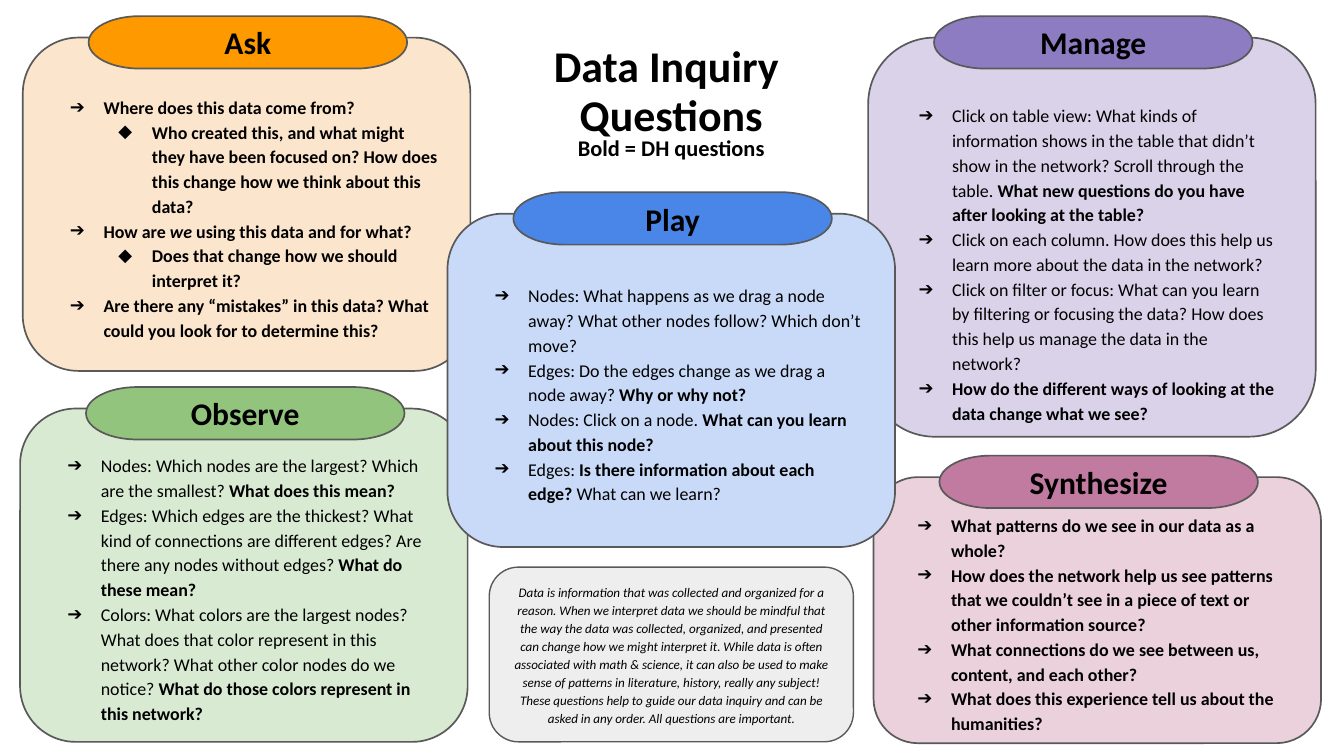
from lxml import etree
from pptx import Presentation
from pptx.dml.color import RGBColor
from pptx.enum import shapes, text
from pptx.oxml import ns
from pptx.util import Inches, Pt

COLORS = {
    "ink": "000000", "outline": "595959", "note": "EEEEEE",
    "Ask": ("FCE5CD", "FF9900"), "Observe": ("D9EAD3", "93C47D"),
    "Manage": ("D9D2E9", "8E7CC3"), "Synthesize": ("EAD1DC", "C27BA0"),
    "Play": ("C9DAF8", "4A86E8"),
}
FONT = "Calibri"
BULLETS = ("➔", "◆")
CARD_WIDTH = 3.33
LINE_HEIGHT = 0.19

# Stage: left, top, height, blank lines above the list, questions.
# *...* is bold, _..._ is italic, a leading tab makes a sub-question.
STAGES = {
    "Ask": (0.17, 0.28, 2.48, 1, [
        "*Where does this data come from?*",
        "\t*Who created this, and what might they have been focused on? "
        "How does this change how we think about this data?*",
        "*How are _we_ using this data and for what?*",
        "\t*Does that change how we should interpret it?*",
        "*Are there any “mistakes” in this data? What could you look for to determine this?*",
    ]),
    "Observe": (0.15, 3.04, 2.48, 1, [
        "Nodes: Which nodes are the largest? Which are the smallest? *What does this mean?*",
        "Edges: Which edges are the thickest? What kind of connections are different edges? "
        "Are there any nodes without edges? *What do these mean?*",
        "Colors: What colors are the largest nodes? What does that color represent in this "
        "network? What other color nodes do we notice? "
        "*What do those colors represent in this network?*",
    ]),
    "Manage": (6.46, 0.28, 2.97, 2, [
        "Click on table view: What kinds of information shows in the table that didn’t show "
        "in the network? Scroll through the table. "
        "*What new questions do you have after looking at the table?*",
        "Click on each column. How does this help us learn more about the data in the network?",
        "Click on filter or focus: What can you learn by filtering or focusing the data? "
        "How does this help us manage the data in the network?",
        "*How do the different ways of looking at the data change what we see?*",
    ]),
    "Synthesize": (6.5, 3.55, 1.98, 1, [
        "*What patterns do we see in our data as a whole?*",
        "*How does the network help us see patterns that we couldn’t see in a piece of text "
        "or other information source?*",
        "*What connections do we see between us, content, and each other?*",
        "*What does this experience tell us about the humanities?*",
    ]),
    "Play": (3.33, 1.59, 2.48, 1, [
        "Nodes: What happens as we drag a node away? What other nodes follow? Which don’t move?",
        "Edges: Do the edges change as we drag a node away? *Why or why not?*",
        "Nodes: Click on a node. *What can you learn about this node?*",
        "Edges: *Is there information about each edge? *What can we learn?",
    ]),
}
NOTE = [
    "_Data is information that was collected and organized for a reason. When we interpret "
    "data we should be mindful that the way the data was collected, organized, and presented "
    "can change how we might interpret it. While data is often associated with math & science, "
    "it can also be used to make sense of patterns in literature, history, really any subject!_",
    "_These questions help to guide our data inquiry and can be asked in any order. "
    "All questions are important._",
]


def set_frame(frame, inset, top_inset=None, anchor=text.MSO_ANCHOR.MIDDLE):
    frame.word_wrap = True
    frame.auto_size = text.MSO_AUTO_SIZE.NONE
    frame.vertical_anchor = anchor
    frame.margin_left = frame.margin_right = frame.margin_bottom = Inches(inset)
    frame.margin_top = Inches(inset if top_inset is None else top_inset)


def write(paragraph, marked, size, align=text.PP_ALIGN.CENTER, spacing=1.0, before=0):
    """Write one paragraph, turning * and _ marks into bold and italic runs."""
    paragraph.alignment = align
    paragraph.line_spacing = spacing
    paragraph.space_before = Pt(before)
    for i, weight_part in enumerate(marked.split("*")):
        for j, part in enumerate(weight_part.split("_")):
            if part:
                run = paragraph.add_run()
                run.text = part
                run.font.name = FONT
                run.font.size = Pt(size)
                run.font.bold = i % 2 == 1
                run.font.italic = j % 2 == 1
                run.font.color.rgb = RGBColor.from_string(COLORS["ink"])


def paragraphs(frame, count):
    return [frame.paragraphs[0]] + [frame.add_paragraph() for _ in range(count - 1)]


def add_bullet(paragraph, level):
    paragraph.level = level
    props = paragraph._p.get_or_add_pPr()
    props.set("marL", str(Inches(0.36 * (level + 1))))
    props.set("indent", str(Inches(-0.25)))
    color = etree.SubElement(props, ns.qn("a:buClr"))
    etree.SubElement(color, ns.qn("a:srgbClr"), val=COLORS["ink"])
    etree.SubElement(props, ns.qn("a:buFont"), typeface=FONT)
    etree.SubElement(props, ns.qn("a:buChar"), char=BULLETS[level])


def add_panel(slide, preset, left, top, width, height, fill, line_width=0.91):
    panel = slide.shapes.add_shape(
        preset, Inches(left), Inches(top), Inches(width), Inches(height))
    panel.shadow.inherit = False
    panel.fill.solid()
    panel.fill.fore_color.rgb = RGBColor.from_string(fill)
    panel.line.color.rgb = RGBColor.from_string(COLORS["outline"])
    panel.line.width = Pt(line_width)
    return panel


def add_heading(slide, left, top, width, height):
    heading = slide.shapes.title
    heading.left, heading.top = Inches(left), Inches(top)
    heading.width, heading.height = Inches(width), Inches(height)
    frame = heading.text_frame
    set_frame(frame, 0.11, anchor=text.MSO_ANCHOR.TOP)
    first, second, legend = paragraphs(frame, 3)
    write(first, "*Data Inquiry *", 23.5, spacing=1.15)
    write(second, "*Questions*", 23.5, spacing=0.8, before=3.2)
    write(legend, "*Bold = DH questions*", 12, spacing=0.8)


def add_stage(slide, name, left, top, height, blank_lines, questions):
    card_fill, tab_fill = COLORS[name]
    # Card with its questions
    card = add_panel(slide, shapes.MSO_SHAPE.ROUNDED_RECTANGLE,
                     left, top, CARD_WIDTH, height, card_fill)
    set_frame(card.text_frame, 0.12, top_inset=0.12 + LINE_HEIGHT * blank_lines)
    for paragraph, question in zip(paragraphs(card.text_frame, len(questions)), questions):
        write(paragraph, question.lstrip("\t"), 9.6, align=text.PP_ALIGN.LEFT, spacing=1.15)
        add_bullet(paragraph, question.count("\t"))
    # Name tab across the card's top edge
    tab = add_panel(slide, shapes.MSO_SHAPE.FLOWCHART_TERMINATOR,
                    left + 0.49, top - 0.16, 2.37, 0.39, tab_fill)
    set_frame(tab.text_frame, 0.12)
    write(tab.text_frame.paragraphs[0], f"*{name}*", 16.9)


def add_note(slide, left, top, width, height):
    note = add_panel(slide, shapes.MSO_SHAPE.ROUNDED_RECTANGLE,
                     left, top, width, height, COLORS["note"], line_width=0.75)
    set_frame(note.text_frame, 0.1)
    for paragraph, sentence in zip(paragraphs(note.text_frame, len(NOTE)), NOTE):
        write(paragraph, sentence, 7, spacing=1.15)


def main():
    deck = Presentation()
    # 16:9 page, 10 inches wide
    deck.slide_width = Inches(10)
    deck.slide_height = deck.slide_width * 9 // 16
    slide = deck.slides.add_slide(deck.slide_layouts[5])
    add_heading(slide, 3.27, 0.12, 3.45, 1.19)
    for name, stage in STAGES.items():
        add_stage(slide, name, *stage)
    add_note(slide, 3.64, 4.22, 2.71, 1.3)
    deck.save("out.pptx")


if __name__ == "__main__":
    main()
